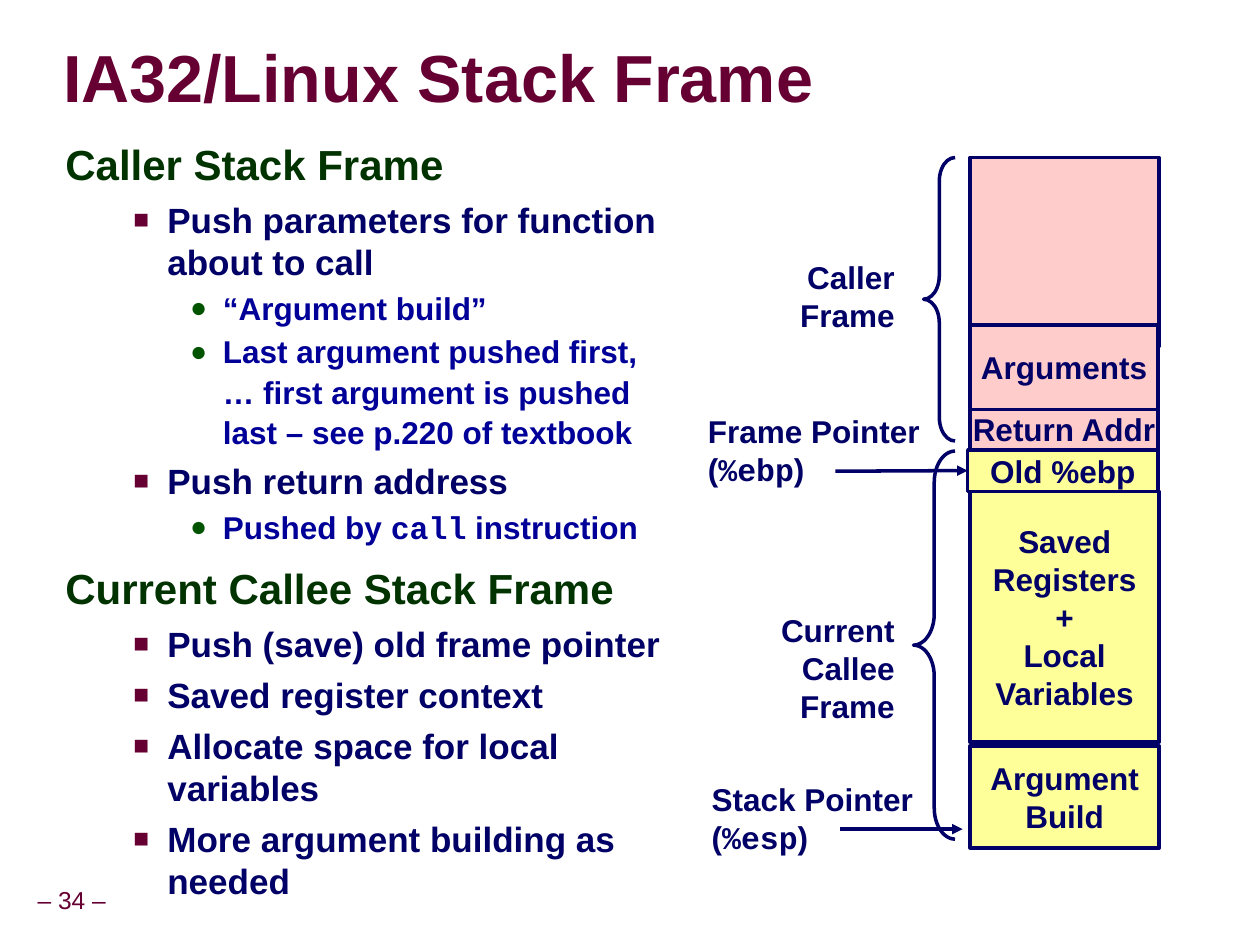
from lxml import etree
from pptx import Presentation
from pptx.dml.color import RGBColor
from pptx.enum.shapes import MSO_CONNECTOR, MSO_SHAPE
from pptx.enum.text import MSO_ANCHOR, MSO_AUTO_SIZE, PP_ALIGN
from pptx.oxml.ns import qn
from pptx.util import Inches, Pt

COLORS = {"maroon": "660033", "green": "003300", "navy": "000066", "blue": "000099",
          "dot": "005400", "pink": "FFCCCC", "yellow": "FFFF99", "shadow": "808080"}
WIDTH, HEIGHT = 10, 7.5
STACK_LEFT, STACK_WIDTH = 0.77 * WIDTH, 0.15 * WIDTH

TITLE = "IA32/Linux Stack Frame"
PAGE = "– 34 –"
# Backticks enclose code.
OUTLINE = [
    (0, "Caller Stack Frame"),
    (1, "Push parameters for function about to call"),
    (2, "“Argument build”"),
    (2, "Last argument pushed first, … first argument is pushed last – see p.220 of textbook"),
    (1, "Push return address"),
    (2, "Pushed by `call` instruction"),
    (0, "Current Callee Stack Frame"),
    (1, "Push (save) old frame pointer"),
    (1, "Saved register context"),
    (1, "Allocate space for local variables"),
    (1, "More argument building as needed"),
]
LEVELS = [
    dict(size=24, color="green", spacing=0.95, before=12, indent=(0.42, -0.42)),
    dict(size=20, color="navy", before=5, indent=(0.81, -0.27), bullet=("■", "maroon", 75)),
    dict(size=18, color="blue", spacing=1.07, before=1.8, indent=(1.25, -0.26),
         bullet=("●", "dot", 90)),
]
# lines, top, height, fill, left and right offset from the stack column
CELLS = [
    (["Return Addr"], 3.24, 0.33, "pink", 0, -0.01),
    (["Saved", "Registers", "+", "Local", "Variables"], 3.9, 1.99, "yellow", 0, 0),
    (["Argument", "Build"], 5.92, 0.81, "yellow", 0, 0),
    ([], 1.25, 1.5, "pink", 0, 0),
    (["Old %ebp"], 3.57, 0.33, "yellow", -0.02, -0.01),
    (["Arguments"], 2.58, 0.67, "pink", 0, -0.01),
]
LABELS = [
    (["Stack Pointer", "(`%esp`)"], (5.55, 6.14, 1.8, 0.7), PP_ALIGN.LEFT),
    (["Frame Pointer", "(`%ebp`)"], (5.52, 3.22, 1.88, 0.7), PP_ALIGN.LEFT),
    (["Caller", "Frame"], (6.25, 2, 0.95, 0.7), PP_ALIGN.RIGHT),
    (["Current", "Callee", "Frame"], (6.07, 4.8, 1.13, 1.01), PP_ALIGN.RIGHT),
]
BRACES = [(7.33, 1.25, 0.25, 2.25), (7.25, 3.58, 0.33, 3.08)]
# start x, end x, y, cell pointed at
ARROWS = [(6.67, 7.64, 6.58, None), (6.63, 7.68, 3.74, "Old %ebp")]


def rgb(name):
    return RGBColor.from_string(COLORS[name])


def add_bullet(properties, char, color, percent):
    fill = etree.SubElement(properties, qn("a:buClr"))
    etree.SubElement(fill, qn("a:srgbClr"), val=COLORS[color])
    etree.SubElement(properties, qn("a:buSzPct"), val=str(percent * 1000))
    etree.SubElement(properties, qn("a:buFont"), typeface="Arial")
    etree.SubElement(properties, qn("a:buChar"), char=char)


def write(frame, text, size=18, color="navy", bold=True, align=PP_ALIGN.LEFT,
          spacing=None, before=0, indent=None, bullet=None):
    """Append one paragraph; parts between backticks are set as code."""
    first = not frame.paragraphs[0].runs
    paragraph = frame.paragraphs[0] if first else frame.add_paragraph()
    if indent:
        properties = paragraph._p.get_or_add_pPr()
        properties.set("marL", str(Inches(indent[0])))
        properties.set("indent", str(Inches(indent[1])))
        if bullet:
            add_bullet(properties, *bullet)
    paragraph.alignment = align
    if spacing:
        paragraph.line_spacing = spacing
    paragraph.space_before = Pt(0 if first else before)
    for number, part in enumerate(text.split("`")):
        if part:
            run = paragraph.add_run()
            run.text = part
            run.font.name = "Courier New" if number % 2 else "Arial"
            run.font.size, run.font.bold = Pt(size), bold
            run.font.color.rgb = rgb(color)
    return paragraph


def add_text_area(slide, box, wrap=False, inset=(0.1, 0.05), anchor=MSO_ANCHOR.TOP, grow=False):
    frame = slide.shapes.add_textbox(*map(Inches, box)).text_frame
    frame.word_wrap, frame.vertical_anchor = wrap, anchor
    frame.auto_size = MSO_AUTO_SIZE.SHAPE_TO_FIT_TEXT if grow else MSO_AUTO_SIZE.NONE
    frame.margin_left = frame.margin_right = Inches(inset[0])
    frame.margin_top = frame.margin_bottom = Inches(inset[1])
    return frame


def add_outlined(slide, kind, box, fill=None):
    shape = slide.shapes.add_shape(kind, *map(Inches, box))
    shape.shadow.inherit = False
    if fill:
        shape.fill.solid()
        shape.fill.fore_color.rgb = rgb(fill)
    else:
        shape.fill.background()
    shape.line.color.rgb, shape.line.width = rgb("navy"), Pt(2)
    return shape


def add_arrow(slide, start, end, y, target):
    arrow = slide.shapes.add_connector(MSO_CONNECTOR.STRAIGHT, *map(Inches, (start, y, end, y)))
    if target is not None:
        arrow.end_connect(target, 1)
    arrow.line.color.rgb, arrow.line.width = rgb("navy"), Pt(2)
    etree.SubElement(arrow.line._get_or_add_ln(), qn("a:tailEnd"), type="triangle")
    etree.SubElement(arrow._element.spPr, qn("a:effectLst"))


def add_text_shadow(run):
    effects = etree.Element(qn("a:effectLst"))
    shadow = etree.SubElement(effects, qn("a:outerShdw"), blurRad="38100", dist="38100",
                              dir="2700000", algn="tl")
    etree.SubElement(shadow, qn("a:srgbClr"), val=COLORS["shadow"])
    run.font._element.find(qn("a:solidFill")).addnext(effects)


def main():
    deck = Presentation()
    deck.slide_width, deck.slide_height = Inches(WIDTH), Inches(HEIGHT)
    slide = deck.slides.add_slide(deck.slide_layouts[6])

    page = add_text_area(slide, (0.24, 7, 0.66, 0.31), inset=(0.05, 0.05),
                         anchor=MSO_ANCHOR.MIDDLE, grow=True)
    write(page, PAGE, size=14, color="maroon", bold=False, align=PP_ALIGN.CENTER, spacing=0.9)

    title = add_text_area(slide, (0.5, 0.33, 7.38, 0.63), wrap=True, inset=(0, 0),
                          anchor=MSO_ANCHOR.MIDDLE)
    heading = write(title, TITLE, size=38, color="maroon", spacing=0.87)
    add_text_shadow(heading.runs[0])

    outline = add_text_area(slide, (0.42, 1.08, 4.92, 5.48), wrap=True)
    for level, text in OUTLINE:
        write(outline, text, **LEVELS[level])

    cells = {}
    for lines, top, height, fill, left, right in CELLS:
        box = (STACK_LEFT + left, top, STACK_WIDTH + right - left, height)
        cell = add_outlined(slide, MSO_SHAPE.RECTANGLE, box, fill)
        cell.text_frame.word_wrap = False
        cell.text_frame.vertical_anchor = MSO_ANCHOR.MIDDLE
        for line in lines:
            write(cell.text_frame, line, align=PP_ALIGN.CENTER)
        cells[" ".join(lines)] = cell

    for box in BRACES:
        brace = add_outlined(slide, MSO_SHAPE.LEFT_BRACE, box)
        brace.adjustments[0], brace.adjustments[1] = 0.75, 0.5

    for start, end, y, target in ARROWS:
        add_arrow(slide, start, end, y, cells.get(target))

    for lines, box, align in LABELS:
        label = add_text_area(slide, box, grow=True)
        for line in lines:
            write(label, line, align=align)

    deck.save("out.pptx")


if __name__ == "__main__":
    main()
